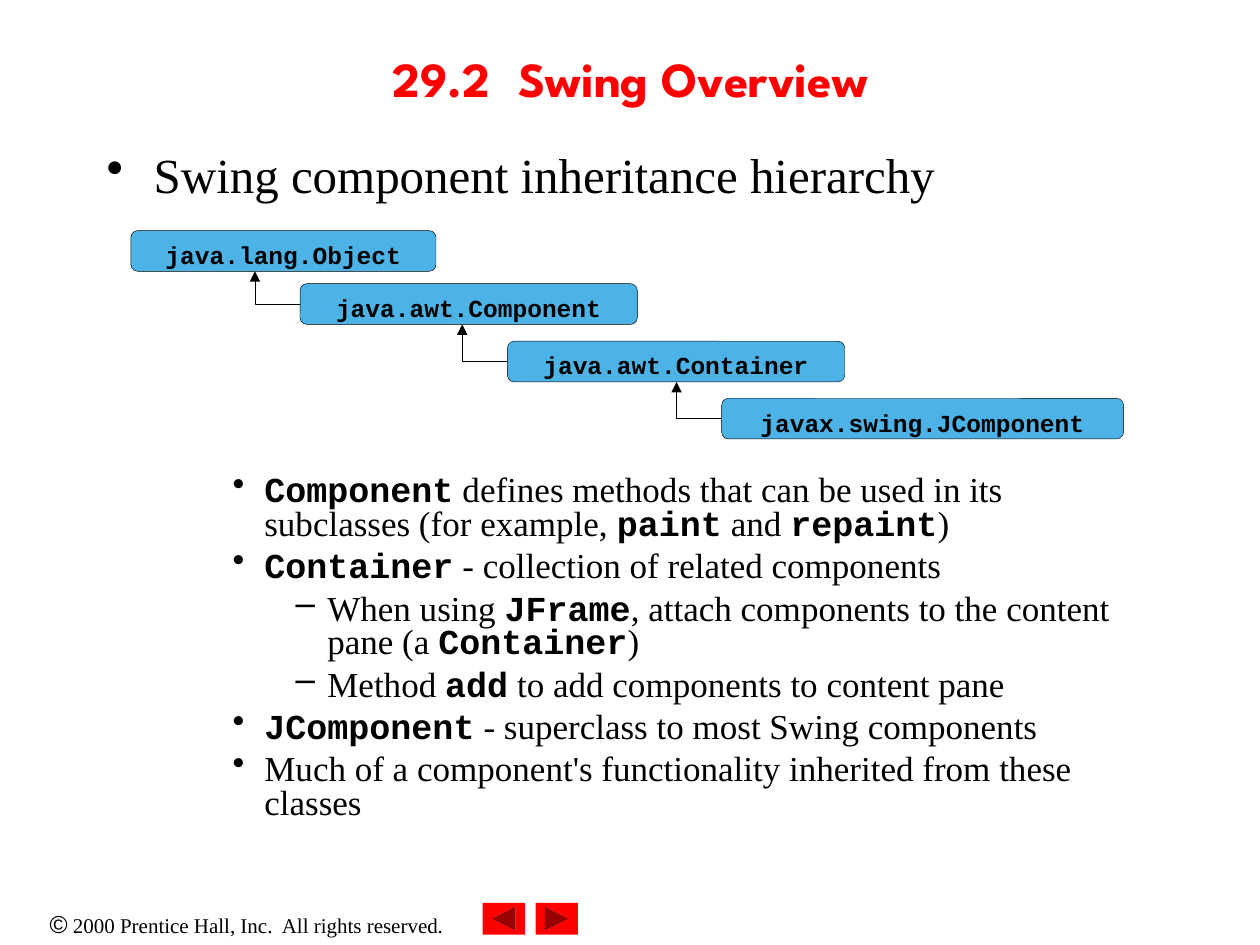
from dataclasses import dataclass

from lxml import etree
from pptx import Presentation, util as u
from pptx.dml.color import RGBColor
from pptx.enum import shapes, text
from pptx.oxml import ns


@dataclass(frozen=True)
class Theme:
    red: RGBColor = RGBColor(0xFF, 0x00, 0x00)
    black: RGBColor = RGBColor(0x00, 0x00, 0x00)
    blue: RGBColor = RGBColor(0x4D, 0xB3, 0xE6)
    title_font: str = "League Spartan"
    body_font: str = "Times New Roman"
    code_font: str = "Courier New"
    symbol_font: str = "Arial"
    heading: int = 28
    body: int = 20
    label: int = 14
    small: int = 12
    hairline: float = 0.25


T = Theme()
BOX_HEIGHT = 0.82
ARROW_REACH = 0.91

# class name, left, top, width in cm
CLASSES = [
    ("java.lang.Object", 2.64, 4.65, 6.15),
    ("java.awt.Component", 6.05, 5.72, 6.8),
    ("java.awt.Container", 10.23, 6.88, 6.8),
    ("javax.swing.JComponent", 14.55, 8.03, 8.1),
]

# level, then pieces that alternate between prose and code
POINTS = [
    (0, ["", "Component", " defines methods that can be used in its subclasses (for example, ",
         "paint", " and ", "repaint", ")"]),
    (0, ["", "Container", " - collection of related components"]),
    (1, ["When using ", "JFrame", ", attach components to the content pane (a ",
         "Container", ")"]),
    (1, ["Method ", "add", " to add components to content pane"]),
    (0, ["", "JComponent", " - superclass to most Swing components"]),
    (0, ["Much of a component's functionality inherited from these classes"]),
]


def add_element(parent, tag, **attrs):
    return etree.SubElement(parent, ns.qn(tag), {k: str(v) for k, v in attrs.items()})


def add_run(p, words, font, size, color=T.black, bold=False):
    r = p.add_run()
    r.text = words
    r.font.name, r.font.size, r.font.bold = font, u.Pt(size), bold
    r.font.color.rgb = color


def add_text(s, left, top, width, height, anchor=text.MSO_ANCHOR.TOP):
    sp = s.shapes.add_textbox(u.Cm(left), u.Cm(top), u.Cm(width), u.Cm(height))
    tf = sp.text_frame
    tf.word_wrap = True
    tf.vertical_anchor = anchor
    return tf


def set_bullet(p, char, margin, hang):
    """Give the paragraph a hanging bullet and tight lines."""
    p.line_spacing = 0.8
    pPr = p._p.get_or_add_pPr()
    pPr.set("marL", str(u.Cm(margin)))
    pPr.set("indent", str(-u.Cm(hang)))
    add_element(add_element(pPr, "a:buClr"), "a:srgbClr", val=T.black)
    add_element(pPr, "a:buChar", char=char)


def add_title(s):
    tf = add_text(s, 1.9, 0.2, 21.6, 2.75, text.MSO_ANCHOR.MIDDLE)
    p = tf.paragraphs[0]
    p.alignment = text.PP_ALIGN.CENTER
    tabs = add_element(p._p.get_or_add_pPr(), "a:tabLst")
    for i in range(8):
        add_element(tabs, "a:tab", pos=u.Cm(2.54 * i), algn="l")
    add_run(p, "29.2\tSwing Overview", T.title_font, T.heading, T.red, True)


def add_heading(s):
    p = add_text(s, 1.9, 3.02, 21.6, 1.4).paragraphs[0]
    set_bullet(p, "•", 0.95, 0.95)
    add_run(p, "Swing component inheritance hierarchy", T.body_font, T.heading)


def add_points(s):
    tf = add_text(s, 1.9, 9.47, 21.6, 8.5)
    for i, (level, pieces) in enumerate(POINTS):
        p = tf.add_paragraph() if i else tf.paragraphs[0]
        p.level = level
        if i:
            p.space_before = u.Pt(5)
        set_bullet(p, "•–"[level], 3.18 + 1.27 * level, 0.64)
        for j, words in enumerate(pieces):
            code = j % 2 == 1
            if words:
                add_run(p, words, T.code_font if code else T.body_font, T.body, bold=code)


def add_class_box(s, name, left, top, width):
    sp = s.shapes.add_shape(shapes.MSO_SHAPE.ROUNDED_RECTANGLE,
                            u.Cm(left), u.Cm(top), u.Cm(width), u.Cm(BOX_HEIGHT))
    sp.shadow.inherit = False
    sp.fill.solid()
    sp.fill.fore_color.rgb = T.blue
    sp.line.color.rgb = T.black
    sp.line.width = u.Pt(T.hairline)
    tf = sp.text_frame
    tf.margin_left = tf.margin_right = tf.margin_top = tf.margin_bottom = 0
    tf.vertical_anchor = text.MSO_ANCHOR.BOTTOM
    p = tf.paragraphs[0]
    p.alignment = text.PP_ALIGN.CENTER
    add_run(p, name, T.code_font, T.label, bold=True)


def add_inherit_arrow(s, parent, child):
    """Draw an elbow from the child's left side up to the parent's bottom."""
    _, left, top, _ = child
    x, y = left - ARROW_REACH, top + BOX_HEIGHT / 2
    builder = s.shapes.build_freeform(u.Cm(x), u.Cm(parent[2] + BOX_HEIGHT))
    builder.add_line_segments([(u.Cm(x), u.Cm(y)), (u.Cm(left), u.Cm(y))], close=False)
    sp = builder.convert_to_shape()
    sp.shadow.inherit = False
    sp.fill.background()
    sp.line.color.rgb = T.black
    sp.line.width = u.Pt(T.hairline)
    add_element(sp.line._get_or_add_ln(), "a:headEnd", type="triangle")


def add_hierarchy(s):
    for parent, child in zip(CLASSES, CLASSES[1:]):
        add_inherit_arrow(s, parent, child)
    for item in CLASSES:
        add_class_box(s, *item)


def add_button(s, kind, left):
    sp = s.shapes.add_shape(kind, u.Cm(left), u.Cm(18.2), u.Cm(0.85), u.Cm(0.64))
    sp.shadow.inherit = False
    sp.fill.solid()
    sp.fill.fore_color.rgb = T.red
    sp.line.fill.background()


def add_footer(s):
    p = add_text(s, 0, 18.2, 9.95, 0.86).paragraphs[0]
    p.alignment = text.PP_ALIGN.CENTER
    add_run(p, "©", T.symbol_font, T.label)
    add_run(p, " 2000 Prentice Hall, Inc.  All rights reserved.", T.body_font, T.small)
    add_button(s, shapes.MSO_SHAPE.ACTION_BUTTON_BACK_OR_PREVIOUS, 9.73)
    add_button(s, shapes.MSO_SHAPE.ACTION_BUTTON_FORWARD_OR_NEXT, 10.8)


def main():
    prs = Presentation()
    prs.slide_width, prs.slide_height = u.Cm(25.4), u.Cm(19.05)
    s = prs.slides.add_slide(prs.slide_layouts[6])
    add_footer(s)
    add_title(s)
    add_heading(s)
    add_points(s)
    add_hierarchy(s)
    prs.save("out.pptx")


if __name__ == "__main__":
    main()
